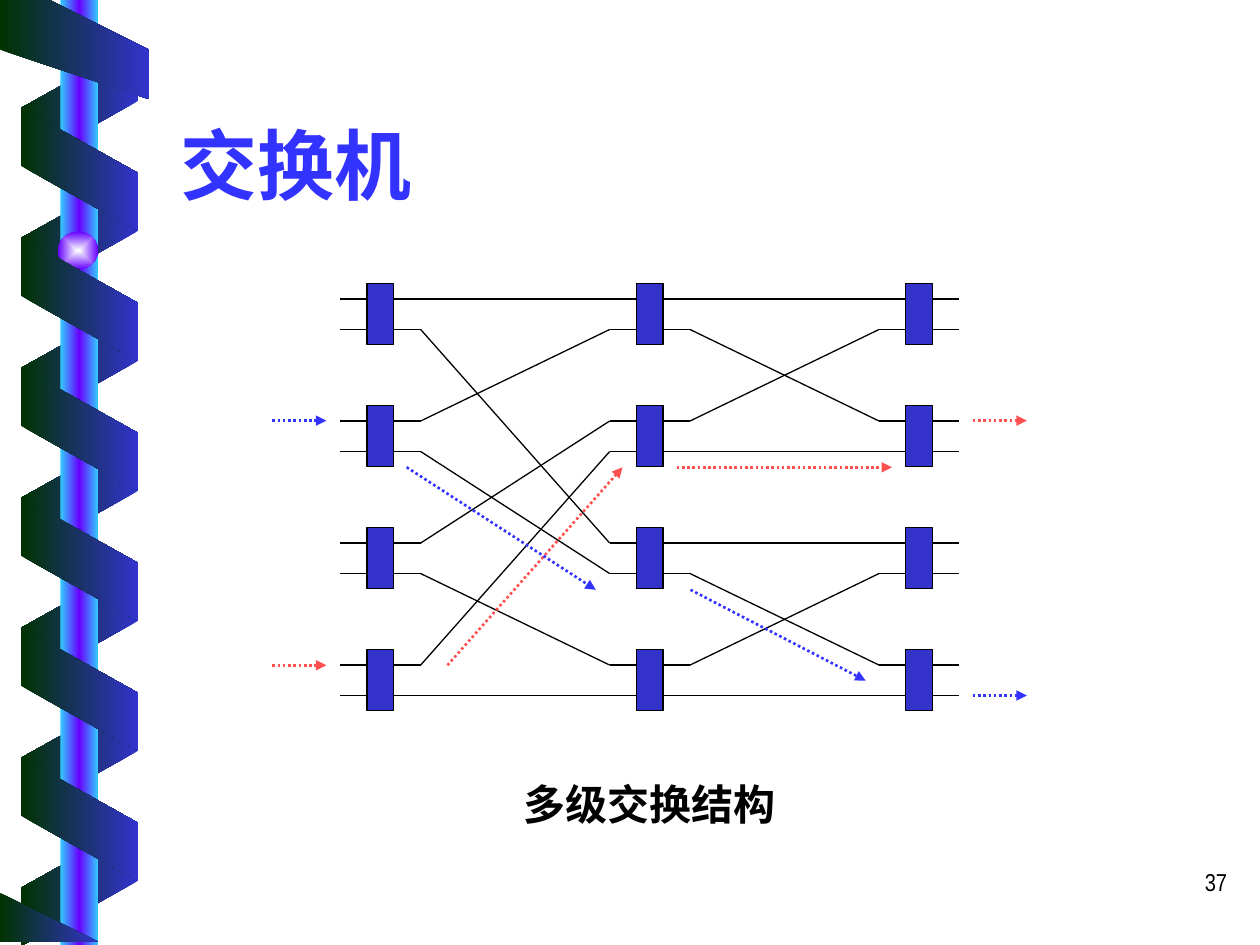
from lxml import etree
from pptx import Presentation
from pptx.dml.color import RGBColor
from pptx.enum.dml import MSO_LINE_DASH_STYLE as Dash
from pptx.enum.shapes import MSO_CONNECTOR, MSO_SHAPE
from pptx.enum.text import MSO_ANCHOR, MSO_AUTO_SIZE, PP_ALIGN
from pptx.oxml import parse_xml
from pptx.oxml.ns import nsdecls, qn
from pptx.util import Cm, Pt

THEME = {
    "title": "3333FF", "text": "000000", "switch": "3333CC", "wire": "000000",
    "red": "FF5050", "blue": "3333FF",
    "ribbon_front": ["003300", "3333CC"], "ribbon_back": ["3333CC", "003300"],
    "tube": ["33CCFF", "6600FF", "33CCFF"], "ball": ["FEFFFF", "6600FF"],
    "cjk": "Noto Sans CJK SC", "serif": "Times New Roman", "narrow": "Arial Narrow",
    "title_size": 44, "caption_size": 24, "number_size": 14,
    "wire_width": 0.75, "flow_width": 1.5,
}

TITLE = "交换机"
CAPTION = "多级交换结构"
PAGE_NUMBER = "37"

# All lengths are in centimetres.
STAGES, ROWS = 3, 4
SWITCH_LEFT, SWITCH_TOP = 7.4, 5.72
SWITCH_WIDTH, SWITCH_HEIGHT = 0.54, 1.23
STAGE_PITCH, ROW_PITCH = 5.43, 2.46
STUB = 0.54

# For each gap between stages: the input port that each output port leads to.
LINKS = [
    [0, 4, 1, 5, 2, 6, 3, 7],
    [0, 2, 1, 3, 4, 6, 5, 7],
]
FLOWS = {
    "red": [
        (5.49, 13.41, 6.58, 13.41), (9.02, 13.41, 12.55, 9.42),
        (13.64, 9.42, 17.98, 9.42), (19.61, 8.48, 20.7, 8.48),
    ],
    "blue": [
        (5.49, 8.48, 6.58, 8.48), (8.2, 9.42, 12.01, 11.89),
        (13.92, 11.89, 17.45, 13.72), (19.61, 14.02, 20.7, 14.02),
    ],
}

RIBBON_LEFT, RIBBON_LENGTH, RIBBON_WIDTH = 0.36, 2.49, 2.35
RIBBON_PITCH, RIBBON_SLANT = 2.62, 0.56
BACK_TOP, BACK_TURNS = 0.93, 7
FRONT_TOP, FRONT_TURNS = 2.24, 6
RIBBON_START = [(0.43, 0), (0.43, 0.74), (2.77, 2.06), (2.77, 0.89), (1.19, 0)]
RIBBON_END = [(2.43, 19.05), (0.43, 17.91), (0.42, 19.05)]
BAR = [(25.4, 4.72), (1.93, 4.72), (1.52, 5.08), (1.93, 5.44), (25.4, 5.44)]


def color(name):
    return RGBColor.from_string(THEME[name])


def fill_gradient(shape, name, angle=0, from_center=False):
    colors = THEME[name]
    stops = "".join(
        f'<a:gs pos="{100000 * i // (len(colors) - 1)}"><a:srgbClr val="{value}"/></a:gs>'
        for i, value in enumerate(colors))
    if from_center:
        shade = ('<a:path path="rect"><a:fillToRect l="50000" t="50000" '
                 'r="50000" b="50000"/></a:path>')
    else:
        shade = f'<a:lin ang="{angle * 60000}" scaled="1"/>'
    shape.fill.solid()
    solid = shape._element.spPr.find(qn("a:solidFill"))
    solid.getparent().replace(solid, parse_xml(
        f'<a:gradFill rotWithShape="0" {nsdecls("a")}>'
        f"<a:gsLst>{stops}</a:gsLst>{shade}</a:gradFill>"))
    shape.line.fill.background()
    shape.shadow.inherit = False


def add_preset(page, kind, left, top, width, height):
    return page.shapes.add_shape(kind, Cm(left), Cm(top), Cm(width), Cm(height))


def add_outline(page, points, gradient, angle=0):
    builder = page.shapes.build_freeform(*points[0], scale=Cm(1))
    builder.add_line_segments(points[1:], close=True)
    fill_gradient(builder.convert_to_shape(), gradient, angle)


def add_ribbon(page, top, turns, gradient, rotation, flipped=False):
    for turn in range(turns):
        fold = add_preset(page, MSO_SHAPE.PARALLELOGRAM, RIBBON_LEFT,
                          top + turn * RIBBON_PITCH, RIBBON_LENGTH, RIBBON_WIDTH)
        fold.adjustments[0] = RIBBON_SLANT
        fold.rotation = rotation
        if flipped:
            fold._element.spPr.find(qn("a:xfrm")).set("flipH", "1")
        fill_gradient(fold, gradient)


def add_decoration(page):
    add_ribbon(page, BACK_TOP, BACK_TURNS, "ribbon_back", 90, flipped=True)
    pole = add_preset(page, MSO_SHAPE.RECTANGLE, 1.22, 0, 0.76, 19.05)
    fill_gradient(pole, "tube")
    add_outline(page, BAR, "tube", 90)
    ball = add_preset(page, MSO_SHAPE.OVAL, 1.17, 4.67, 0.81, 0.76)
    fill_gradient(ball, "ball", from_center=True)
    add_ribbon(page, FRONT_TOP, FRONT_TURNS, "ribbon_front", 270)
    add_outline(page, RIBBON_START, "ribbon_front")
    add_outline(page, RIBBON_END, "ribbon_front")


def add_line(page, x1, y1, x2, y2, color_name="wire", width="wire_width"):
    line = page.shapes.add_connector(
        MSO_CONNECTOR.STRAIGHT, Cm(x1), Cm(y1), Cm(x2), Cm(y2))
    line.line.color.rgb = color(color_name)
    line.line.width = Pt(THEME[width])
    etree.SubElement(line._element.spPr, qn("a:effectLst"))
    return line


def add_flow(page, ends, color_name):
    arrow = add_line(page, *ends, color_name, "flow_width")
    arrow.line.dash_style = Dash.ROUND_DOT
    etree.SubElement(arrow.line._get_or_add_ln(), qn("a:tailEnd"), type="triangle")


def stage_left(stage):
    return SWITCH_LEFT + stage * STAGE_PITCH


def port_y(port):
    """Each switch has two ports, a quarter of its height from either end."""
    row, second = divmod(port, 2)
    return SWITCH_TOP + row * ROW_PITCH + SWITCH_HEIGHT * (0.75 if second else 0.25)


def add_network(page):
    for stage in range(STAGES):
        left = stage_left(stage)
        right = left + SWITCH_WIDTH
        for row in range(ROWS):
            switch = add_preset(page, MSO_SHAPE.RECTANGLE, left,
                                SWITCH_TOP + row * ROW_PITCH, SWITCH_WIDTH, SWITCH_HEIGHT)
            switch.fill.solid()
            switch.fill.fore_color.rgb = color("switch")
            switch.line.color.rgb = color("wire")
            switch.line.width = Pt(THEME["wire_width"])
            switch.shadow.inherit = False
        for port in range(2 * ROWS):
            y = port_y(port)
            add_line(page, left - STUB, y, left, y)
            add_line(page, right, y, right + STUB, y)
    for stage, targets in enumerate(LINKS):
        start = stage_left(stage) + SWITCH_WIDTH + STUB
        end = stage_left(stage + 1) - STUB
        for port, target in enumerate(targets):
            add_line(page, start, port_y(port), end, port_y(target))
    for color_name, arrows in FLOWS.items():
        for ends in arrows:
            add_flow(page, ends, color_name)


def write(box, text, align, font, size, color_name, bold=False):
    frame = box.text_frame
    frame.text = text
    frame.word_wrap = True
    frame.auto_size = MSO_AUTO_SIZE.NONE
    para = frame.paragraphs[0]
    para.alignment = align
    span = para.runs[0]
    span.font.name = THEME[font]
    span.font.size = Pt(THEME[size])
    span.font.bold = bold
    span.font.color.rgb = color(color_name)
    span.font._element.find(qn("a:latin")).addnext(
        parse_xml(f'<a:ea {nsdecls("a")} typeface="{THEME["cjk"]}"/>'))


def add_text(page, area, *style, **options):
    write(page.shapes.add_textbox(*map(Cm, area)), *style, **options)


def main():
    deck = Presentation()
    deck.slide_width, deck.slide_height = Cm(25.4), Cm(19.05)
    page = deck.slides.add_slide(deck.slide_layouts[5])
    add_decoration(page)

    title = page.shapes.title
    title.left, title.top, title.width, title.height = map(Cm, (3.38, 1.17, 21.59, 3.18))
    write(title, TITLE, PP_ALIGN.LEFT, "cjk", "title_size", "title", bold=True)
    title.text_frame.vertical_anchor = MSO_ANCHOR.BOTTOM

    add_network(page)
    add_text(page, (6.58, 15.57, 13.03, 1.27), CAPTION, PP_ALIGN.CENTER,
             "serif", "caption_size", "text", bold=True)
    add_text(page, (19.71, 17.35, 5.28, 1.27), PAGE_NUMBER, PP_ALIGN.RIGHT,
             "narrow", "number_size", "text")
    deck.save("out.pptx")


if __name__ == "__main__":
    main()
